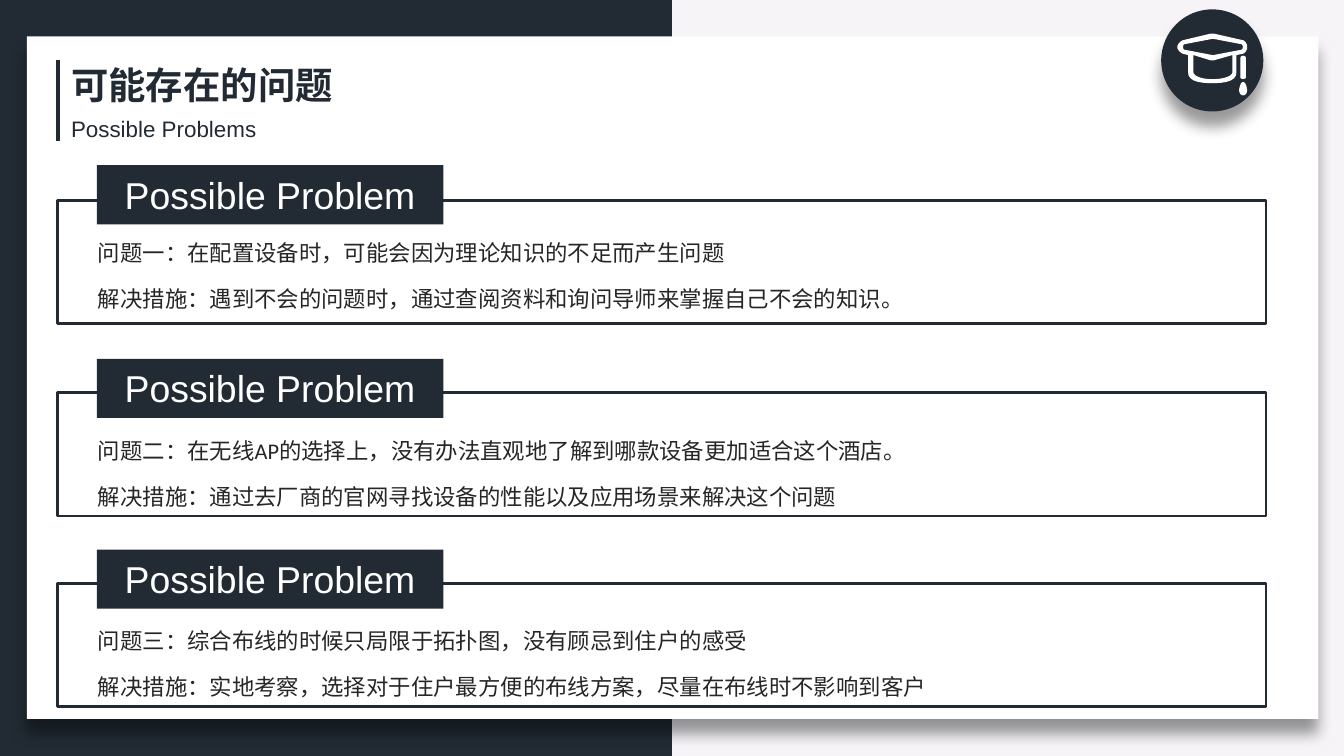
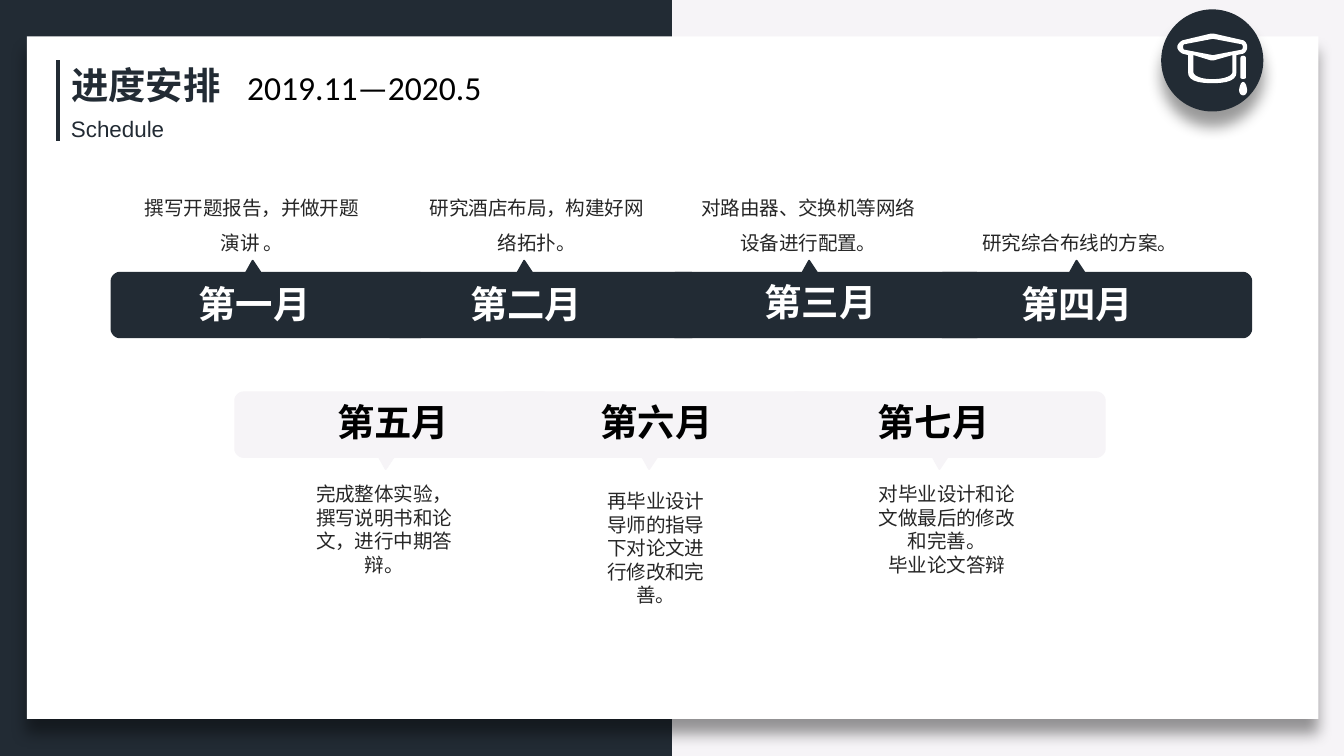
from lxml.etree import SubElement
from pptx import Presentation
from pptx.dml.color import RGBColor
from pptx.enum.shapes import MSO_CONNECTOR, MSO_SHAPE
from pptx.enum.text import MSO_ANCHOR, MSO_AUTO_SIZE, PP_ALIGN
from pptx.oxml.ns import qn
from pptx.util import Inches, Pt

WIDTH = 10
HEIGHT = WIDTH * 9 / 16
DARK, LIGHT, WHITE, GREY, BLACK = "222B34", "F6F4F7", "FFFFFF", "262626", "000000"
CJK, LATIN, BODY = "Noto Sans CJK SC", "Arial", "Calibri"

PROBLEMS = [
    (1.23, 1.49, 1.67, ["问题一：在配置设备时，可能会因为理论知识的不足而产生问题",
                        "解决措施：遇到不会的问题时，通过查阅资料和询问导师来掌握自己不会的知识。"]),
    (2.67, 2.92, 3.14, ["问题二：在无线AP的选择上，没有办法直观地了解到哪款设备更加适合这个酒店。",
                        "解决措施：通过去厂商的官网寻找设备的性能以及应用场景来解决这个问题"]),
    (4.09, 4.34, 4.56, ["问题三：综合布线的时候只局限于拓扑图，没有顾忌到住户的感受",
                        "解决措施：实地考察，选择对于住户最方便的布线方案，尽量在布线时不影响到客户"]),
]

UPPER = [
    (0.83, "第一月", (1.38, 2.04, 1.04, 0.44), "撰写开题报告，并做开题演讲 。", (0.93, 1.32, 1.89, 0.63)),
    (2.85, "第二月", (3.4, 2.04, 1.08, 0.44), "研究酒店布局，构建好网络拓扑。", (3.05, 1.32, 1.89, 0.63)),
    (4.97, "第三月", (5.59, 2.03, 1.04, 0.44), "对路由器、交换机等网络设备进行配置。", (5.07, 1.32, 1.89, 0.63)),
    (6.96, "第四月", (7.5, 2.04, 1.07, 0.44), "研究综合布线的方案。", (7.09, 1.58, 1.89, 0.36)),
]
LOWER = [
    (1.75, "第五月", (2.41, 2.92, 1.24, 0.4), "完成整体实验，撰写说明书和论文，进行中期答辩。", (2.21, 3.54, 1.3, 0.81)),
    (3.71, "第六月", (4.37, 2.92, 1.49, 0.4), "再毕业设计导师的指导下对论文进行修改和完善。", (4.41, 3.59, 0.94, 0.98)),
    (5.87, "第七月", (6.43, 2.92, 1.39, 0.4), ["对毕业设计和论文做最后的修改和完善。", "毕业论文答辩"], (6.37, 3.54, 1.35, 0.81)),
]
MONTH_ROWS = [
    dict(months=UPPER, edge=2.03, way=1, tip=1.05, fill=DARK, color=WHITE, spacing=1.5),
    dict(months=LOWER, edge=3.4, way=-1, tip=1.12, fill=LIGHT, color=BLACK, spacing=1),
]

CAP = [
    [(9.28, 0.35), (9.28, 0.33, 9.27, 0.31, 9.25, 0.3), (9.03, 0.25), (9.01, 0.25), (8.8, 0.3),
     (8.78, 0.31, 8.76, 0.33, 8.76, 0.35), (8.76, 0.37, 8.78, 0.39, 8.8, 0.4), (8.84, 0.41),
     (8.84, 0.54), (8.84, 0.59, 8.89, 0.62, 9.02, 0.62), (9.15, 0.62, 9.2, 0.59, 9.2, 0.54),
     (9.2, 0.41), (9.25, 0.4), (9.27, 0.39, 9.28, 0.37, 9.28, 0.35)],
    [(9.03, 0.41), (9.02, 0.41), (8.81, 0.37), (8.8, 0.36, 8.8, 0.34, 8.81, 0.33), (9.02, 0.29),
     (9.03, 0.29), (9.24, 0.33), (9.25, 0.34, 9.25, 0.36, 9.24, 0.37)],
    [(9.17, 0.54), (9.17, 0.56, 9.12, 0.59, 9.02, 0.59), (8.93, 0.59, 8.88, 0.56, 8.88, 0.54),
     (8.88, 0.41), (9.01, 0.45), (9.03, 0.45), (9.17, 0.41)],
]
CORD = [[(9.23, 0.43), (9.23, 0.58), (9.23, 0.59, 9.27, 0.59, 9.27, 0.58),
         (9.27, 0.43), (9.27, 0.41, 9.23, 0.41, 9.23, 0.43)]]
TASSEL = [[(9.25, 0.61), (9.23, 0.61, 9.22, 0.66, 9.22, 0.67), (9.22, 0.69, 9.23, 0.71, 9.25, 0.71),
           (9.27, 0.71, 9.28, 0.69, 9.28, 0.67), (9.28, 0.66, 9.27, 0.61, 9.25, 0.61)]]


def rgb(color):
    return RGBColor.from_string(color)


def paint(sp, fill=None, line=None, width=1, shadow=False):
    if fill:
        sp.fill.solid()
        sp.fill.fore_color.rgb = rgb(fill)
    else:
        sp.fill.background()
    if line:
        sp.line.color.rgb = rgb(line)
        sp.line.width = Pt(width)
    else:
        sp.line.fill.background()
    sp.shadow.inherit = False
    if shadow:
        effects = sp._element.spPr.find(qn("a:effectLst"))
        outer = SubElement(effects, qn("a:outerShdw"), blurRad=str(Pt(8)), dist=str(Pt(8)),
                           dir="5400000", algn="t", rotWithShape="0")
        clr = SubElement(outer, qn("a:srgbClr"), val=BLACK)
        SubElement(clr, qn("a:alpha"), val="40000")
    return sp


def shape(shapes, kind, box, **style):
    return paint(shapes.add_shape(kind, *map(Inches, box)), **style)


def flatten(contour, steps=6):
    points = [contour[0]]
    for part in contour[1:]:
        if len(part) == 2:
            points.append(part)
            continue
        p0, p1, p2, p3 = points[-1], part[:2], part[2:4], part[4:]
        for i in range(1, steps + 1):
            t = i / steps
            u = 1 - t
            points.append(tuple(u**3 * a + 3 * u * u * t * b + 3 * u * t * t * c + t**3 * d
                                for a, b, c, d in zip(p0, p1, p2, p3)))
    return points


def outline(shapes, contours, **style):
    fb = None
    for contour in contours:
        first, *rest = [(Inches(x), Inches(y)) for x, y in flatten(contour)]
        if fb is None:
            fb = shapes.build_freeform(*first)
        else:
            fb.move_to(*first)
        fb.add_line_segments(rest, close=True)
    return paint(fb.convert_to_shape(), **style)


def write(sp, text, size=12, font=BODY, color=GREY, bold=False, align=PP_ALIGN.LEFT,
          spacing=1, before=0, wrap=True, anchor=MSO_ANCHOR.TOP):
    tf = sp.text_frame
    tf.word_wrap = wrap
    tf.auto_size = MSO_AUTO_SIZE.SHAPE_TO_FIT_TEXT
    tf.vertical_anchor = anchor
    for i, line in enumerate([text] if isinstance(text, str) else text):
        p = tf.add_paragraph() if i else tf.paragraphs[0]
        p.alignment, p.line_spacing, p.space_before = align, spacing, Pt(before)
        r = p.add_run()
        r.text = line
        r.font.size, r.font.name, r.font.bold = Pt(size), font, bold
        r.font.color.rgb = rgb(color)
        if font == CJK:
            SubElement(r._r.rPr, qn("a:ea"), typeface=font)


def text_box(s, text, box, **fmt):
    write(s.shapes.add_textbox(*map(Inches, box)), text, **fmt)


def decorate(s, layout):
    layout.background.fill.solid()
    layout.background.fill.fore_color.rgb = rgb(LIGHT)
    for ph in list(layout.placeholders)[1:]:
        ph._element.getparent().remove(ph._element)
    line = s.shapes.add_connector(MSO_CONNECTOR.STRAIGHT, *map(Inches, (0.43, 0.45, 0.43, 1.05)))
    line.line.color.rgb = rgb(DARK)
    line.line.width = Pt(2.25)
    SubElement(line._element.spPr, qn("a:effectLst"))
    band = shape(s.shapes, MSO_SHAPE.RECTANGLE, (0, 0, WIDTH / 2, HEIGHT), fill=DARK)
    card = shape(s.shapes, MSO_SHAPE.RECTANGLE, (0.2, 0.27, 9.61, 5.08), fill=WHITE, shadow=True)
    badge = s.shapes.add_group_shape()
    shape(badge.shapes, MSO_SHAPE.OVAL, (8.64, 0.07, 0.76, 0.76), fill=DARK, shadow=True)
    for contours in (CAP, CORD, TASSEL):
        outline(badge.shapes, contours, fill=WHITE)
    for part in (band, card, line, badge):
        layout.shapes._spTree.append(part._element)


def heading(s, title, subtitle, title_width, subtitle_width):
    sp = s.shapes.title
    sp.left, sp.top, sp.width, sp.height = map(Inches, (0.43, 0.41, title_width, 0.44))
    write(sp, title, size=20, font=CJK, color=DARK, bold=True, wrap=False)
    text_box(s, subtitle, (0.43, 0.81, subtitle_width, 0.3), font=LATIN, color=DARK, wrap=False)


def problem(s, label_top, frame_top, text_top, lines):
    text_box(s, lines, (0.63, text_top, 6.92, 0.71), spacing=1.3, before=6)
    shape(s.shapes, MSO_SHAPE.RECTANGLE, (0.43, frame_top, 8.99, 0.92), line=DARK, width=1.5)
    label = shape(s.shapes, MSO_SHAPE.RECTANGLE, (0.72, label_top, 2.58, 0.44), fill=DARK)
    write(label, "Possible Problem", size=20, font=LATIN, color=WHITE,
          align=PP_ALIGN.CENTER)


def tag(s, x, edge, way, tip, fill, w=2.35, h=0.48, r=0.06):
    def at(*offsets):
        return tuple(v for dx, dy in offsets for v in (x + dx, edge + way * dy))

    contour = [
        at((r, 0)), at((tip - 0.05, 0)), at((tip, -0.09)), at((tip + 0.06, 0)), at((w - r, 0)),
        at((w - r / 2, 0), (w, r / 2), (w, r)), at((w, h - r)),
        at((w, h - r / 2), (w - r / 2, h), (w - r, h)), at((r, h)),
        at((r / 2, h), (0, h - r / 2), (0, h - r)), at((0, r)),
        at((0, r / 2), (r / 2, 0), (r, 0)),
    ]
    outline(s.shapes, [contour], fill=fill, line=fill)


def month_row(s, months, edge, way, tip, fill, color, spacing):
    for x, *_ in months:
        tag(s, x, edge, way, tip, fill)
    for _, name, name_box, task, task_box in months:
        text_box(s, name, name_box, size=20, font=CJK, color=color, bold=True)
        text_box(s, task, task_box, size=10.5, align=PP_ALIGN.CENTER, spacing=spacing)


def main():
    prs = Presentation()
    prs.slide_width, prs.slide_height = Inches(WIDTH), Inches(HEIGHT)
    layout = prs.slide_layouts[5]

    s = prs.slides.add_slide(layout)
    decorate(s, layout)
    heading(s, "可能存在的问题", "Possible Problems", 2.17, 1.59)
    for item in PROBLEMS:
        problem(s, *item)

    s = prs.slides.add_slide(layout)
    heading(s, "进度安排", "Schedule", 1.32, 0.9)
    text_box(s, "2019.11—2020.5", (1.74, 0.45, 1.97, 0.4), size=18, color=BLACK)
    for row in MONTH_ROWS:
        month_row(s, **row)

    prs.save("out.pptx")


if __name__ == "__main__":
    main()
